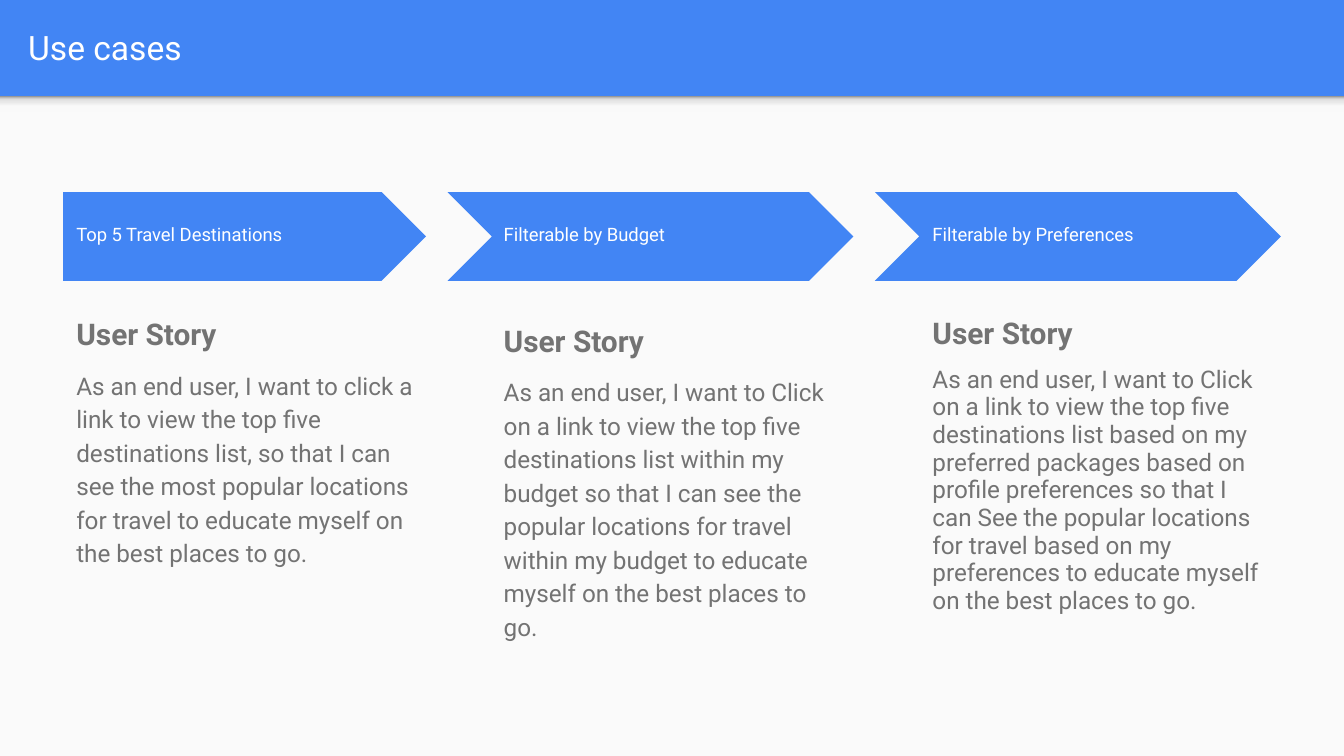
from dataclasses import dataclass

from lxml import etree
from pptx import Presentation
from pptx import util as u
from pptx.dml.color import RGBColor
from pptx.enum import shapes, text
from pptx.oxml import ns


@dataclass(frozen=True)
class Theme:
    font: str = "Roboto"
    accent: str = "4285F4"
    surface: str = "FAFAFA"
    light: str = "FFFFFF"
    body: str = "737373"
    title_size: float = 18
    label_size: float = 9.9
    heading_size: float = 16
    story_size: float = 13


THEME = Theme()
WIDTH = 10
HEIGHT = WIDTH * 9 / 16
SURFACE_HEIGHT = 4.91
HEADER = HEIGHT - SURFACE_HEIGHT
COLUMN_LEFTS = (0.47, 3.65, 6.84)
COLUMN = 2.7
ARROW_START, ARROW_PITCH, ARROW_WIDTH = 0.15, 3.18, 3.02
ARROW_TOP, ARROW_HEIGHT = 1.43, 0.66
STORY_BOTTOM = 5.16
SHADOW_STOPS = [(0, "F9F9F9"), (36, "F9F9F9"), (80, "DEDEDE"), (100, "999999")]

USE_CASES = [
    {
        "label": "Top 5 Travel Destinations",
        "story": "As an end user, I want to click a link to view the top five "
                 "destinations list, so that I can see the most popular locations "
                 "for travel to educate myself on the best places to go.",
        "top": 2.21, "spacing": 1.15, "after": 8,
    },
    {
        "label": "Filterable by Budget",
        "story": "As an end user, I want to Click on a link to view the top five "
                 "destinations list within my budget so that I can see the popular "
                 "locations for travel within my budget to educate myself on the "
                 "best places to go.",
        "top": 2.26, "spacing": 1.15, "after": 8,
    },
    {
        "label": "Filterable by Preferences",
        "story": "As an end user, I want to Click on a link to view the top five "
                 "destinations list based on my preferred packages based on profile "
                 "preferences so that I can See the popular locations for travel "
                 "based on my preferences to educate myself on the best places to go.",
        "top": 2.26, "spacing": 0.95, "after": 0,
    },
]


def apply(target, values):
    for name, value in values.items():
        setattr(target, name, value)


def inches(*lengths):
    return [u.Inches(length) for length in lengths]


def add_block(page, kind, area, color):
    block = page.shapes.add_shape(kind, *inches(*area))
    block.shadow.inherit = False
    block.fill.solid()
    block.fill.fore_color.rgb = RGBColor.from_string(color)
    block.line.fill.background()
    return block


def add_header_shadow(page):
    area = (0, HEADER, WIDTH, 0.12)
    strip = add_block(page, shapes.MSO_SHAPE.RECTANGLE, area, THEME.surface)
    strip.fill.gradient()
    strip.fill.gradient_angle = 90
    stops = strip.element.spPr.find(".//" + ns.qn("a:gsLst"))
    for stop in list(stops):
        stops.remove(stop)
    for percent, color in SHADOW_STOPS:
        stop = etree.SubElement(stops, ns.qn("a:gs"), pos=str(percent * 1000))
        etree.SubElement(stop, ns.qn("a:srgbClr"), val=color)


def format_frame(frame, anchor):
    inset = u.Inches(0.1)
    apply(frame, {
        "word_wrap": True, "auto_size": text.MSO_AUTO_SIZE.NONE,
        "vertical_anchor": anchor, "margin_left": inset, "margin_right": inset,
        "margin_top": inset, "margin_bottom": inset,
    })


def write(para, words, size, color, bold=False, **layout):
    span = para.add_run()
    span.text = words
    apply(span.font, {"name": THEME.font, "size": u.Pt(size), "bold": bold})
    span.font.color.rgb = RGBColor.from_string(color)
    apply(para, {"alignment": text.PP_ALIGN.LEFT, **layout})


def add_box(page, area, anchor):
    box = page.shapes.add_textbox(*inches(*area))
    format_frame(box.text_frame, anchor)
    return box.text_frame


def set_title(page, words):
    title = page.shapes.title
    left, top, width, height = inches(0.11, 0.02, 9.65, 0.66)
    apply(title, {"left": left, "top": top, "width": width, "height": height})
    format_frame(title.text_frame, text.MSO_ANCHOR.MIDDLE)
    write(title.text_frame.paragraphs[0], words, THEME.title_size, THEME.light)


def add_arrow(page, column, label):
    left = COLUMN_LEFTS[column]
    if column:
        kind = shapes.MSO_SHAPE.CHEVRON
        area = (ARROW_START + column * ARROW_PITCH, ARROW_TOP, ARROW_WIDTH, ARROW_HEIGHT)
    else:
        kind = shapes.MSO_SHAPE.PENTAGON
        area = (left, ARROW_TOP, COLUMN, ARROW_HEIGHT)
    arrow = add_block(page, kind, area, THEME.accent)
    arrow.adjustments[0] = 0.5
    frame = add_box(page, (left, 1.59, 2.47, 0.34), text.MSO_ANCHOR.MIDDLE)
    write(frame.paragraphs[0], label, THEME.label_size, THEME.light, line_spacing=0.8)


def add_story(page, column, case):
    area = (COLUMN_LEFTS[column], case["top"], COLUMN, STORY_BOTTOM - case["top"])
    frame = add_box(page, area, text.MSO_ANCHOR.TOP)
    write(frame.paragraphs[0], "User Story", THEME.heading_size, THEME.body,
          bold=True, line_spacing=case["spacing"])
    write(frame.add_paragraph(), case["story"], THEME.story_size, THEME.body,
          line_spacing=case["spacing"], space_before=u.Pt(8),
          space_after=u.Pt(case["after"]))


def main():
    deck = Presentation()
    deck.slide_width, deck.slide_height = inches(WIDTH, HEIGHT)
    page = deck.slides.add_slide(deck.slide_layouts.get_by_name("Title Only"))
    page.background.fill.solid()
    page.background.fill.fore_color.rgb = RGBColor.from_string(THEME.accent)
    add_block(page, shapes.MSO_SHAPE.RECTANGLE,
              (0, HEADER, WIDTH, SURFACE_HEIGHT), THEME.surface)
    add_header_shadow(page)
    set_title(page, "Use cases")
    for column, case in enumerate(USE_CASES):
        add_arrow(page, column, case["label"])
        add_story(page, column, case)
    deck.save("out.pptx")


if __name__ == "__main__":
    main()
